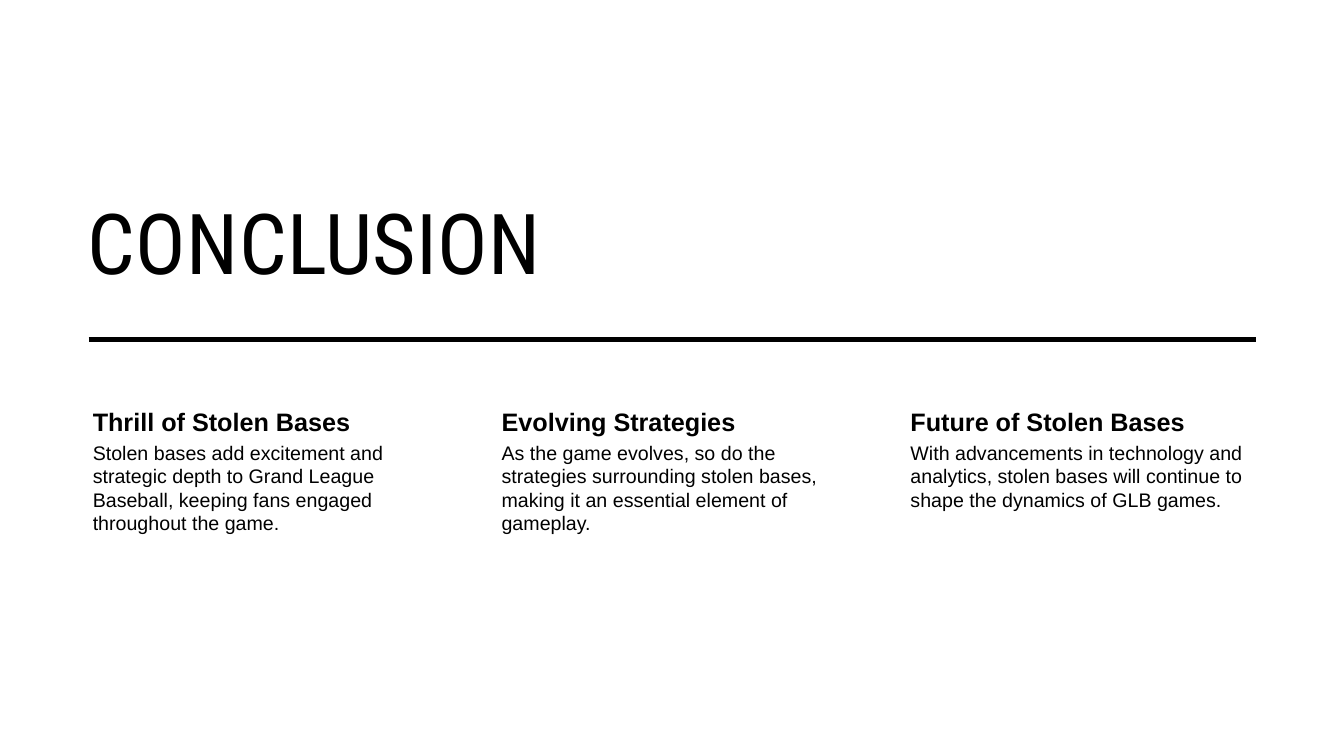
from dataclasses import dataclass

from lxml.etree import SubElement
from pptx import Presentation
from pptx.dml.color import RGBColor
from pptx.enum.shapes import MSO_CONNECTOR
from pptx.enum.text import MSO_ANCHOR, MSO_AUTO_SIZE, PP_ALIGN
from pptx.oxml.ns import qn
from pptx.util import Inches, Pt


@dataclass(frozen=True)
class Theme:
    ink: RGBColor = RGBColor(0x00, 0x00, 0x00)
    background: RGBColor = RGBColor(0xFF, 0xFF, 0xFF)
    title_font: str = "Roboto Condensed"
    body_font: str = "Arial"
    title_size: float = 60
    heading_size: float = 18
    body_size: float = 14
    rule_width: float = 3.5


TAKEAWAYS = [
    ("Thrill of Stolen Bases",
     "Stolen bases add excitement and strategic depth to Grand League "
     "Baseball, keeping fans engaged throughout the game."),
    ("Evolving Strategies",
     "As the game evolves, so do the strategies surrounding stolen bases, "
     "making it an essential element of gameplay."),
    ("Future of Stolen Bases",
     "With advancements in technology and analytics, stolen bases will "
     "continue to shape the dynamics of GLB games."),
]
LEFT = 0.77
COLUMN_WIDTH = 3.69
COLUMN_PITCH = 4.055
HEADING_TOP, HEADING_HEIGHT = 4, 0.35
BODY_HEIGHT = 2.34


class SlideBuilder:
    def __init__(self, presentation, theme):
        self.theme = theme
        self.slide = presentation.slides.add_slide(presentation.slide_layouts[5])
        fill = self.slide.background.fill
        fill.solid()
        fill.fore_color.rgb = theme.background

    def format_run(self, paragraph, font_name, size, bold=False):
        run = paragraph.runs[0]
        run.font.name = font_name
        run.font.size = Pt(size)
        run.font.bold = bold
        run.font.color.rgb = self.theme.ink
        return run

    def title(self, text, left, top, width, height):
        shape = self.slide.shapes.title
        shape.left, shape.top = Inches(left), Inches(top)
        shape.width, shape.height = Inches(width), Inches(height)
        frame = shape.text_frame
        frame.text = text
        frame.word_wrap = True
        frame.auto_size = MSO_AUTO_SIZE.NONE
        frame.vertical_anchor = MSO_ANCHOR.BOTTOM
        paragraph = frame.paragraphs[0]
        paragraph.alignment = PP_ALIGN.LEFT
        run = self.format_run(paragraph, self.theme.title_font, self.theme.title_size)
        run.font._element.set("spc", "30")

    def text(self, text, left, top, height, size, inset, bold=False):
        box = self.slide.shapes.add_textbox(
            Inches(left), Inches(top), Inches(COLUMN_WIDTH), Inches(height))
        frame = box.text_frame
        frame.text = text
        frame.word_wrap = True
        frame.margin_left = Inches(0.15)
        frame.margin_top = frame.margin_right = frame.margin_bottom = Inches(inset)
        self.format_run(frame.paragraphs[0], self.theme.body_font, size, bold)

    def takeaway(self, left, heading, body):
        self.text(heading, left, HEADING_TOP, HEADING_HEIGHT,
                  self.theme.heading_size, 0.03, bold=True)
        self.text(body, left, HEADING_TOP + HEADING_HEIGHT, BODY_HEIGHT,
                  self.theme.body_size, 0.02)

    def rule(self, left, right, top):
        line = self.slide.shapes.add_connector(
            MSO_CONNECTOR.STRAIGHT, Inches(left), Inches(top), Inches(right), Inches(top))
        line.line.color.rgb = self.theme.ink
        line.line.width = Pt(self.theme.rule_width)
        SubElement(line._element.spPr, qn("a:effectLst"))


def main():
    presentation = Presentation()
    presentation.slide_width, presentation.slide_height = Inches(13.33), Inches(7.5)
    builder = SlideBuilder(presentation, Theme())
    builder.title("CONCLUSION", LEFT, 1.4, 8.74, 1.54)
    for column, (heading, body) in enumerate(TAKEAWAYS):
        builder.takeaway(LEFT + column * COLUMN_PITCH, heading, body)
    builder.rule(0.88, 12.46, 3.37)
    presentation.save("out.pptx")


if __name__ == "__main__":
    main()
